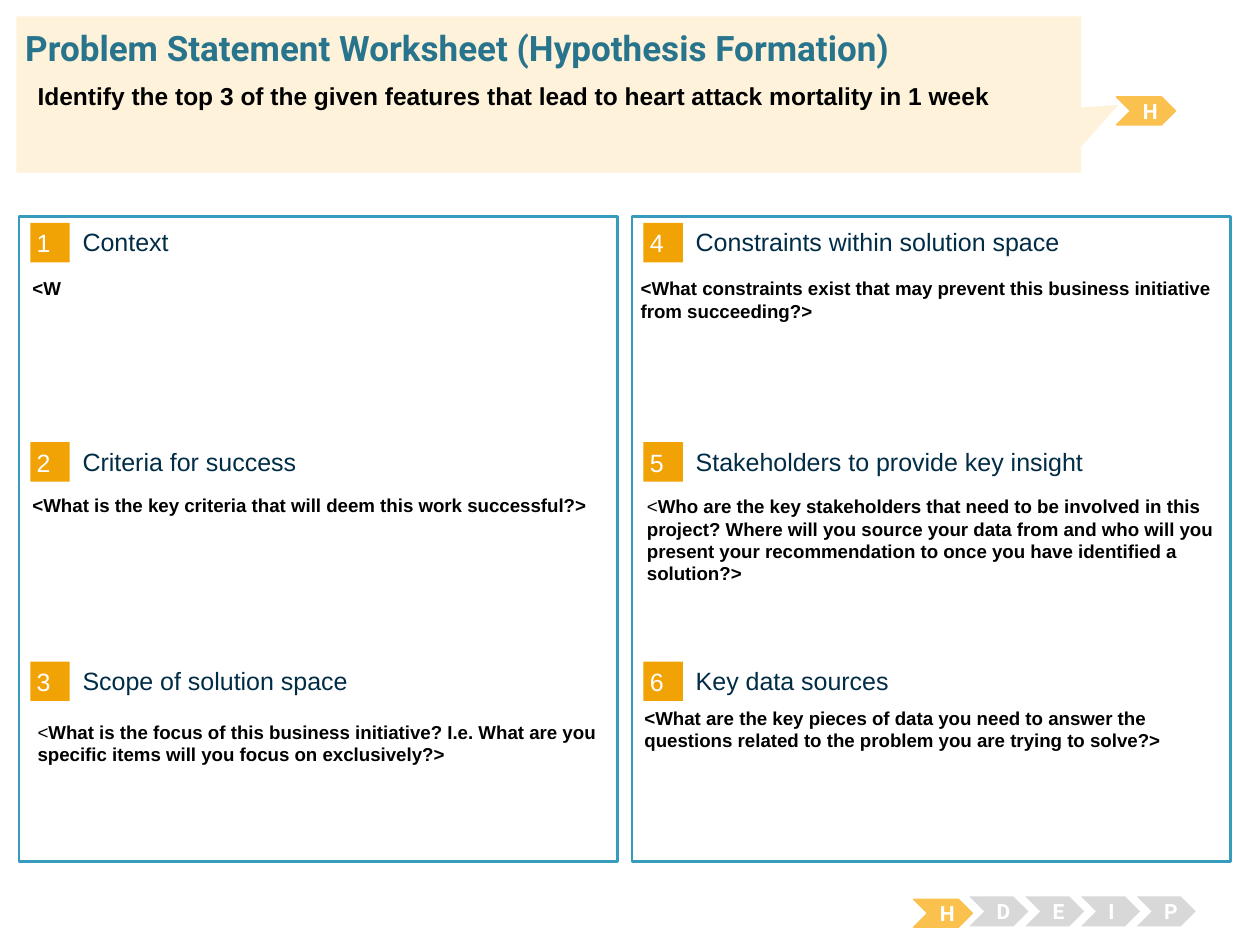
from pptx import Presentation
from pptx.dml.color import RGBColor
from pptx.enum.shapes import MSO_SHAPE
from pptx.enum.text import MSO_ANCHOR, PP_ALIGN
from pptx.util import Pt

AMBER, ORANGE, GREY, WHITE = "FBC14E", "F1A205", "D8D8D8", "FFFFFF"
ROW_PITCH = 125.3

# Each section: heading, plain lead, bold prompt, prompt offset from its row
LEFT = [
    ("Context", "", "<W", 0.7, 31),
    ("Criteria for success", "",
     "<What is the key criteria that will deem this work successful?>", 0.7, 29.5),
    ("Scope of solution space ", "<",
     "What is the focus of this business initiative? I.e. What are you "
     "specific items will you focus on exclusively?>", 3.6, 33.8),
]
RIGHT = [
    ("Constraints within solution space", "",
     "<What constraints exist that may prevent this business initiative "
     "from succeeding?>", -2.2, 31),
    ("Stakeholders to provide key insight", "<",
     "Who are the key stakeholders that need to be involved in this project? "
     "Where will you source your data from and who will you present your "
     "recommendation to once you have identified a solution?>", 1.4, 30.2),
    ("Key data sources ", "",
     "<What are the key pieces of data you need to answer the questions "
     "related to the problem you are trying to solve?>", 0, 25.9),
]


def color(value):
    """Turn a hex string into a colour."""
    return RGBColor.from_string(value)


def style(r, size, ink, bold=False, font="Arial"):
    """Format one run."""
    r.font.name, r.font.size, r.font.bold = font, Pt(size), bold
    r.font.color.rgb = color(ink)


def add_box(s, kind, x, y, w, h, fill, line=None, weight=1.5):
    """Add a flat filled shape, outlined only if a line colour is given."""
    sp = s.shapes.add_shape(kind, Pt(x), Pt(y), Pt(w), Pt(h))
    sp.shadow.inherit = False
    sp.fill.solid()
    sp.fill.fore_color.rgb = color(fill)
    if line:
        sp.line.color.rgb = color(line)
        sp.line.width = Pt(weight)
    else:
        sp.line.fill.background()
    return sp


def set_margins(tf, size):
    """Give a text frame the same margin on all sides."""
    tf.margin_left = tf.margin_right = tf.margin_top = tf.margin_bottom = Pt(size)


def add_text(s, x, y, w, h, text, size, ink, bold=False, font="Arial"):
    """Add a wrapping text box and return its frame."""
    tf = s.shapes.add_textbox(Pt(x), Pt(y), Pt(w), Pt(h)).text_frame
    tf.word_wrap = True
    tf.text = text
    for r in tf.paragraphs[0].runs:
        style(r, size, ink, bold, font)
    return tf


def add_section(s, x, y, number, heading, lead, prompt, dx, dy):
    """Add a numbered heading and its prompt, from the row's top left."""
    badge = add_box(s, MSO_SHAPE.RECTANGLE, x + 6.5, y + 3.6, 22.6, 22.6, ORANGE)
    tf = badge.text_frame
    set_margins(tf, 3.6)
    tf.vertical_anchor = MSO_ANCHOR.MIDDLE
    tf.text = str(number)
    p = tf.paragraphs[0]
    p.alignment = PP_ALIGN.LEFT
    style(p.runs[0], 14.3, WHITE)

    tf = add_text(s, x + 36.4, y + 5.8, 283, 17.3, heading, 14.3, "002C46")
    set_margins(tf, 0)
    tf.vertical_anchor = MSO_ANCHOR.MIDDLE

    tf = add_text(s, x + dx, y + dy, 340.6, 85, lead, 10.7, "000000")
    r = tf.paragraphs[0].add_run()
    r.text = prompt
    style(r, 10.7, "000000", bold=True)


def add_panel(s, x, y, first, sections):
    """Add an outlined column of numbered sections."""
    add_box(s, MSO_SHAPE.RECTANGLE, x, y, 342, 368.6, WHITE, "379BBD")
    for i, section in enumerate(sections):
        add_section(s, x, y + i * ROW_PITCH, first + i, *section)


def add_step(s, x, y, letter, active=False):
    """Add one lettered chevron, highlighted when active."""
    if active:
        sp = add_box(s, MSO_SHAPE.CHEVRON, x, y, 33.8, 16, AMBER, AMBER, 0.74)
    else:
        sp = add_box(s, MSO_SHAPE.CHEVRON, x, y, 33.8, 17.2, GREY)
    tf = sp.text_frame
    tf.vertical_anchor = MSO_ANCHOR.MIDDLE
    tf.text = letter
    p = tf.paragraphs[0]
    p.alignment = PP_ALIGN.CENTER
    style(p.runs[0], 12, WHITE, bold=True, font="Roboto")


def add_steps(s, x, y):
    """Add the step tracker with its first step active."""
    for i, letter in enumerate("HDEIP"):
        add_step(s, x + i * 31.9, y + (1.7 if i == 0 else 0), letter, i == 0)


def add_header(s, x, y):
    """Add the callout with title and problem statement, and its step."""
    add_step(s, x + 628.6, y + 46, "H", active=True)
    sp = add_box(s, MSO_SHAPE.RECTANGULAR_CALLOUT, x, y, 608.4, 89.3, "FEF2DA")
    sp.adjustments[0], sp.adjustments[1] = 0.535, 0.066
    tf = add_text(s, x + 5, y + 5.8, 692.6, 24.5,
                  "Problem Statement Worksheet (Hypothesis Formation)",
                  20, "29748D", bold=True, font="Roboto")
    set_margins(tf, 0)
    add_text(s, x + 5, y + 33.1, 676, 38.9,
             "Identify the top 3 of the given features that lead to heart "
             "attack mortality in 1 week", 14, "000000", bold=True)


prs = Presentation()
prs.slide_width, prs.slide_height = Pt(720), Pt(540)
s = prs.slides.add_slide(prs.slide_layouts[6])
add_panel(s, 10.8, 123.8, 1, LEFT)
add_panel(s, 361.2, 123.8, 4, RIGHT)
add_steps(s, 522, 512.2)
add_header(s, 9.4, 9.4)
prs.save("out.pptx")
